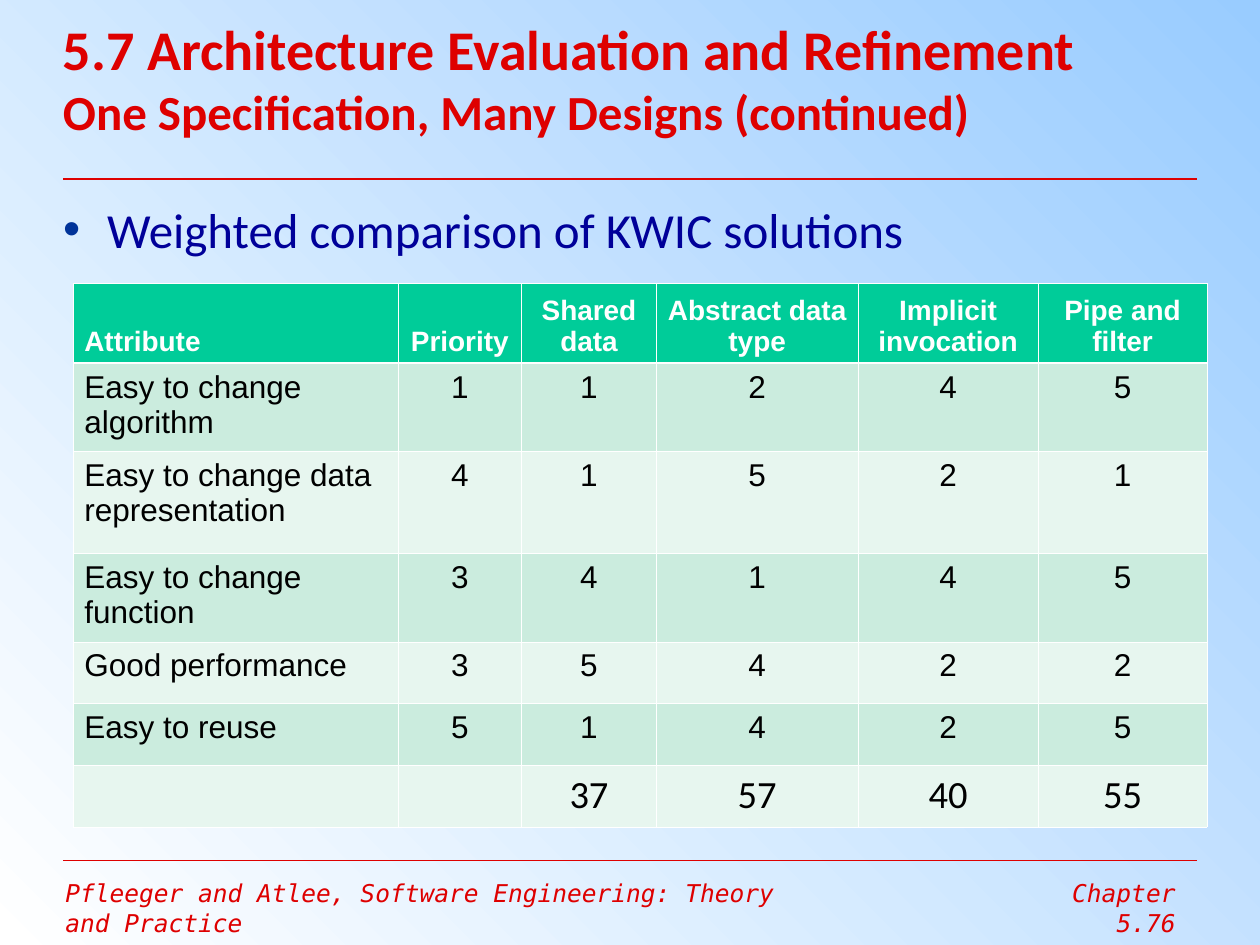
from lxml import etree
from pptx import Presentation
from pptx.dml.color import RGBColor
from pptx.enum.shapes import MSO_CONNECTOR
from pptx.enum.text import MSO_ANCHOR, PP_ALIGN
from pptx.oxml.ns import qn
from pptx.util import Inches, Pt

LEFT, CENTER, RIGHT = PP_ALIGN.LEFT, PP_ALIGN.CENTER, PP_ALIGN.RIGHT
TOP, MIDDLE, BOTTOM = MSO_ANCHOR.TOP, MSO_ANCHOR.MIDDLE, MSO_ANCHOR.BOTTOM
STRAIGHT = MSO_CONNECTOR.STRAIGHT

RED, NAVY, BLUE, WHITE, BLACK = "DE0000", "000099", "003399", "FFFFFF", "000000"
HEADER_FILL, BAND_FILLS = "00CC99", ("CBECDE", "E7F6EF")
BACKGROUND = ("99CCFF", WHITE)
HEADING, TABLE_FONT, MONO = "Calibri", "Arial", "DejaVu Sans Mono"

TITLE = [("5.7 Architecture Evaluation and Refinement", 32),
         ("One Specification, Many Designs (continued)", 28)]
BULLET = "Weighted comparison of KWIC solutions"
FOOTERS = [("Pfleeger and Atlee, Software Engineering: Theory and Practice", 0.42, 6, LEFT),
           ("Chapter 5.76", 7.83, 1.6, RIGHT)]
RULES = [(1.42, 1.5), (6.83, 0.75)]

ROWS = [
    ("Attribute", "Priority", "Shared data", "Abstract data type",
     "Implicit invocation", "Pipe and filter"),
    ("Easy to change algorithm", "1", "1", "2", "4", "5"),
    ("Easy to change data representation", "4", "1", "5", "2", "1"),
    ("Easy to change function", "3", "4", "1", "4", "5"),
    ("Good performance", "3", "5", "4", "2", "2"),
    ("Easy to reuse", "5", "1", "4", "2", "5"),
    ("", "", "37", "57", "40", "55"),
]
COLUMN_WIDTHS = (2.58, 0.98, 1.07, 1.6, 1.43, 1.34)
ROW_HEIGHTS = (0.59, 0.66, 0.81, 0.66, 0.49, 0.49, 0.49)
MARGIN, RULE_WIDTH = 0.5, 9


def color(value):
    return RGBColor.from_string(value)


def add_span(para, text, size, font, ink, bold=False, italic=False):
    span = para.add_run()
    span.text = text
    span.font.size, span.font.name = Pt(size), font
    span.font.bold, span.font.italic = bold, italic
    span.font.color.rgb = color(ink)


def set_margins(holder, across, down):
    holder.margin_left = holder.margin_right = Inches(across)
    holder.margin_top = holder.margin_bottom = Inches(down)


def add_box(page, left, top, width, height, inset=(0, 0), anchor=TOP):
    box = page.shapes.add_textbox(*map(Inches, (left, top, width, height)))
    frame = box.text_frame
    frame.word_wrap = True
    frame.vertical_anchor = anchor
    set_margins(frame, *inset)
    return frame.paragraphs[0]


def add_bullet(para, indent, ink):
    properties = para._p.get_or_add_pPr()
    properties.set("marL", str(Inches(indent)))
    properties.set("indent", str(-Inches(indent)))
    tint = etree.SubElement(properties, qn("a:buClr"))
    etree.SubElement(tint, qn("a:srgbClr"), val=ink)
    etree.SubElement(properties, qn("a:buFont"), typeface="Arial")
    etree.SubElement(properties, qn("a:buChar"), char="•")


def add_rule(page, y, weight):
    rule = page.shapes.add_connector(
        STRAIGHT, *map(Inches, (MARGIN, y, MARGIN + RULE_WIDTH, y)))
    rule.line.color.rgb = color(RED)
    rule.line.width = Pt(weight)
    etree.SubElement(rule._element.spPr, qn("a:effectLst"))


def set_borders(cell, row):
    weights = {"lnL": 0.45, "lnR": 0.45,
               "lnT": 1.47 if row == 1 else 0.45,
               "lnB": 1.47 if row == 0 else 0.45}
    properties = cell._tc.get_or_add_tcPr()
    for side, weight in weights.items():
        edge = etree.SubElement(properties, qn("a:" + side), w=str(Pt(weight)))
        fill = etree.SubElement(edge, qn("a:solidFill"))
        etree.SubElement(fill, qn("a:srgbClr"), val=WHITE)


def fill_cell(cell, text, row, column):
    header, total = row == 0, row == len(ROWS) - 1
    set_borders(cell, row)
    cell.fill.solid()
    cell.fill.fore_color.rgb = color(HEADER_FILL if header else BAND_FILLS[(row - 1) % 2])
    cell.vertical_anchor = BOTTOM if header else TOP
    set_margins(cell, 0.09, 0.05)
    para = cell.text_frame.paragraphs[0]
    para.alignment = CENTER if column else LEFT
    if text:
        add_span(para, text, 16 if header else 22 if total else 18,
                 HEADING if total else TABLE_FONT, WHITE if header else BLACK, bold=header)


def add_comparison(page):
    table = page.shapes.add_table(
        len(ROWS), len(COLUMN_WIDTHS), Inches(0.58), Inches(2.25),
        Inches(sum(COLUMN_WIDTHS)), Inches(sum(ROW_HEIGHTS))).table
    for column, width in zip(table.columns, COLUMN_WIDTHS):
        column.width = Inches(width)
    for row, (height, texts) in enumerate(zip(ROW_HEIGHTS, ROWS)):
        table.rows[row].height = Inches(height)
        for column, text in enumerate(texts):
            fill_cell(table.cell(row, column), text, row, column)


def main():
    deck = Presentation()
    deck.slide_width, deck.slide_height = Inches(10), Inches(7.5)
    page = deck.slides.add_slide(deck.slide_layouts[6])

    backdrop = page.background.fill
    backdrop.gradient()
    backdrop.gradient_angle = 225
    for place, (stop, tint) in enumerate(zip(backdrop.gradient_stops, BACKGROUND)):
        stop.position = place
        stop.color.rgb = color(tint)

    for text, left, width, side in FOOTERS:
        para = add_box(page, left, 6.92, width, 0.35, (0.1, 0.05))
        para.alignment = side
        add_span(para, text, 14, MONO, RED, italic=True)
    for y, weight in RULES:
        add_rule(page, y, weight)

    para = add_box(page, MARGIN, 0, 9.33, 1.23, anchor=MIDDLE)
    for index, (text, size) in enumerate(TITLE):
        if index:
            para.add_line_break()
        add_span(para, text, size, HEADING, RED, bold=True)

    para = add_box(page, MARGIN, 1.58, 8.98, 5.1)
    add_bullet(para, 0.35, BLUE)
    add_span(para, BULLET, 28, HEADING, NAVY)

    add_comparison(page)
    deck.save("out.pptx")


if __name__ == "__main__":
    main()
